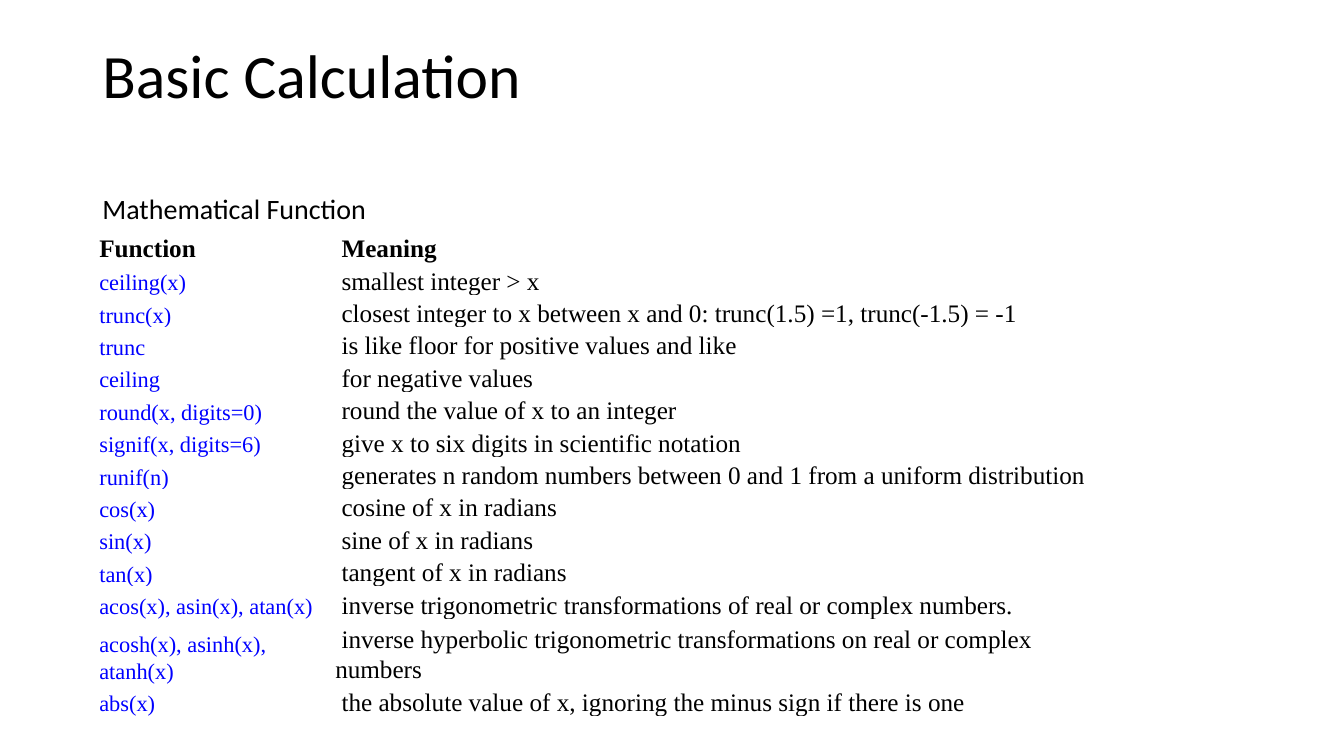
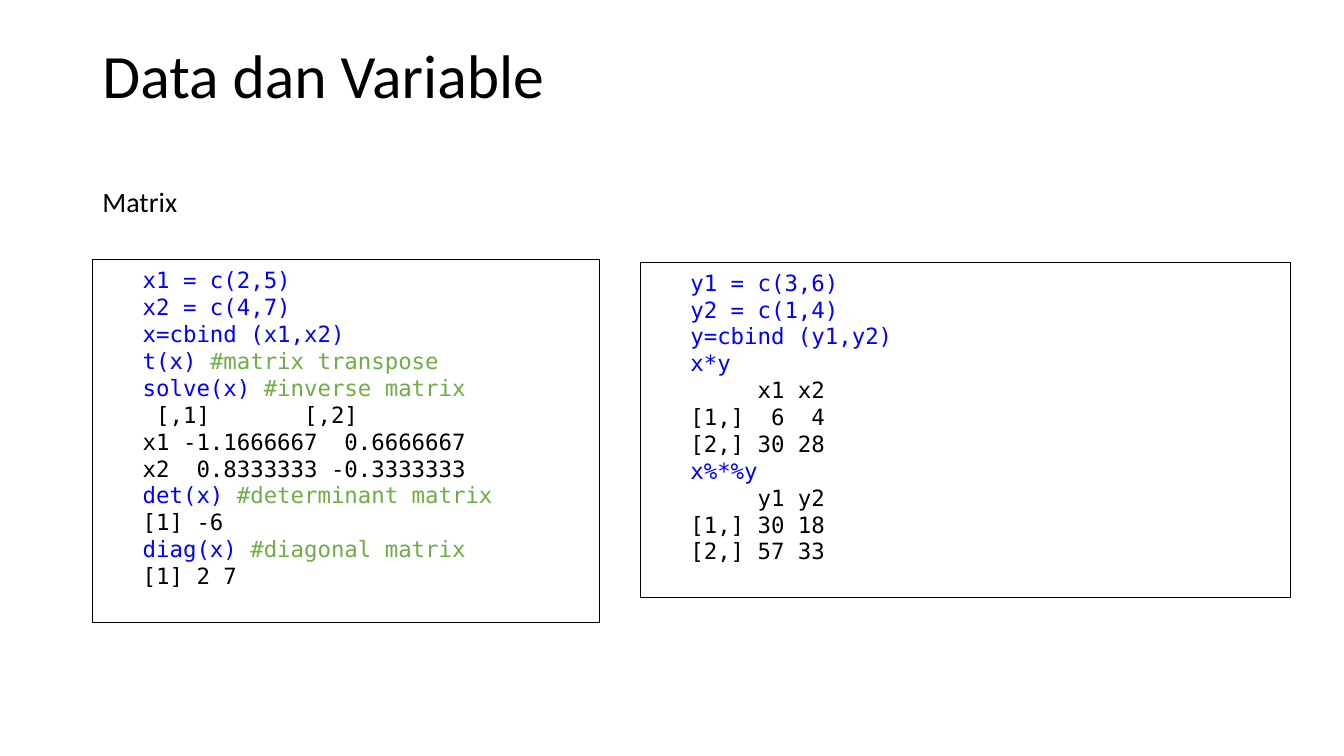
"""Build two slides on mathematical functions and matrices in R."""
from dataclasses import dataclass

from pptx import Presentation
from pptx.dml.color import RGBColor
from pptx.enum.shapes import MSO_SHAPE
from pptx.enum.text import MSO_ANCHOR, PP_ALIGN
from pptx.util import Pt

RECTANGLE = MSO_SHAPE.RECTANGLE
TOP, MIDDLE, BOTTOM = MSO_ANCHOR.TOP, MSO_ANCHOR.MIDDLE, MSO_ANCHOR.BOTTOM
LEFT = PP_ALIGN.LEFT
TITLE_ONLY = 5


@dataclass(frozen=True)
class Theme:
    """Colours, fonts and type sizes of the slides."""
    ink: RGBColor = RGBColor(0, 0, 0)
    paper: RGBColor = RGBColor(255, 255, 255)
    command: RGBColor = RGBColor(0, 0, 255)
    remark: RGBColor = RGBColor(0x70, 0xAD, 0x47)
    heading_font: str = "Calibri"
    table_font: str = "Times New Roman"
    code_font: str = "DejaVu Sans Mono"
    title_size: int = 44
    topic_size: int = 20
    meaning_size: int = 18
    code_size: int = 16


THEME = Theme()

FUNCTIONS = [
    ("Function", "Meaning"),
    ("ceiling(x)", "smallest integer > x"),
    ("trunc(x)", "closest integer to x between x and 0: trunc(1.5) =1, trunc(-1.5) = -1"),
    ("trunc", "is like floor for positive values and like"),
    ("ceiling", "for negative values"),
    ("round(x, digits=0)", "round the value of x to an integer"),
    ("signif(x, digits=6)", "give x to six digits in scientific notation"),
    ("runif(n)", "generates n random numbers between 0 and 1 from a uniform distribution"),
    ("cos(x)", "cosine of x in radians"),
    ("sin(x)", "sine of x in radians"),
    ("tan(x)", "tangent of x in radians"),
    ("acos(x), asin(x), atan(x)", "inverse trigonometric transformations of real or complex numbers."),
    ("acosh(x), asinh(x), atanh(x)",
     "inverse hyperbolic trigonometric transformations on real or complex numbers"),
    ("abs(x)", "the absolute value of x, ignoring the minus sign if there is one"),
]
COMMAND, OUTPUT = THEME.command, THEME.ink
X_SESSION = [
    (COMMAND, "x1 = c(2,5)"),
    (COMMAND, "x2 = c(4,7)"),
    (COMMAND, "x=cbind (x1,x2)"),
    (COMMAND, "t(x) #matrix transpose"),
    (COMMAND, "solve(x) #inverse matrix"),
    (OUTPUT, " [,1]       [,2]"),
    (OUTPUT, "x1 -1.1666667  0.6666667"),
    (OUTPUT, "x2  0.8333333 -0.3333333"),
    (COMMAND, "det(x) #determinant matrix"),
    (OUTPUT, "[1] -6"),
    (COMMAND, "diag(x) #diagonal matrix"),
    (OUTPUT, "[1] 2 7"),
]
Y_SESSION = [
    (COMMAND, "y1 = c(3,6)"),
    (COMMAND, "y2 = c(1,4)"),
    (COMMAND, "y=cbind (y1,y2)"),
    (COMMAND, "x*y"),
    (OUTPUT, "     x1 x2"),
    (OUTPUT, "[1,]  6  4"),
    (OUTPUT, "[2,] 30 28"),
    (COMMAND, "x%*%y"),
    (OUTPUT, "     y1 y2"),
    (OUTPUT, "[1,] 30 18"),
    (OUTPUT, "[2,] 57 33"),
]
SESSIONS = [
    (X_SESSION, (66, 185.5, 362.5, 259.2)),
    (Y_SESSION, (457.2, 187.2, 465, 239.8)),
]

MARGIN = 66
COLUMN_WIDTHS = (168.5, 562.5)
ROW_HEIGHT, WRAPPED_ROW_HEIGHT = 23.1, 44.7
WRAPPED_ROW = 12
MEANING_INDENT = 4.5
CODE_INDENT, CODE_FOOT = 36, 19


def set_font(font, name, size, colour, bold=False):
    font.name, font.size, font.bold = name, Pt(size), bold
    font.color.rgb = colour


def set_insets(area, left, top, right, bottom):
    area.margin_left, area.margin_top = Pt(left), Pt(top)
    area.margin_right, area.margin_bottom = Pt(right), Pt(bottom)


def add_topic_slide(deck, heading, topic, topic_top, topic_width):
    slide = deck.slides.add_slide(deck.slide_layouts[TITLE_ONLY])
    title = slide.shapes.title
    title.left, title.top, title.width, title.height = Pt(MARGIN), Pt(28.8), Pt(828), Pt(104.4)
    title.text_frame.text = heading
    title.text_frame.vertical_anchor = TOP
    line = title.text_frame.paragraphs[0]
    line.alignment, line.line_spacing = LEFT, 0.9
    set_font(line.font, THEME.heading_font, THEME.title_size, THEME.ink)

    label = slide.shapes.add_textbox(Pt(MARGIN), Pt(topic_top), Pt(topic_width), Pt(31.5))
    label.text_frame.text = topic
    label.text_frame.word_wrap = False
    set_font(label.text_frame.paragraphs[0].font, THEME.heading_font, THEME.topic_size, THEME.ink)
    return slide


def add_function_table(slide, top):
    heights = [WRAPPED_ROW_HEIGHT if row == WRAPPED_ROW else ROW_HEIGHT for row in range(len(FUNCTIONS))]
    table = slide.shapes.add_table(len(FUNCTIONS), len(COLUMN_WIDTHS), Pt(MARGIN), Pt(top),
                                   Pt(sum(COLUMN_WIDTHS)), Pt(sum(heights))).table
    table.first_row = table.horz_banding = False
    for column, width in zip(table.columns, COLUMN_WIDTHS):
        column.width = Pt(width)
    for row_number, (entry, height) in enumerate(zip(FUNCTIONS, heights)):
        table.rows[row_number].height = Pt(height)
        for column_number, wording in enumerate(entry):
            cell = table.cell(row_number, column_number)
            cell.fill.background()
            cell.vertical_anchor = BOTTOM
            set_insets(cell, 5, 0, 5, 0)
            cell.text = wording
            line = cell.text_frame.paragraphs[0]
            line.line_spacing = 1.07
            is_header, is_meaning = row_number == 0, column_number == 1
            if is_meaning:
                line._p.get_or_add_pPr().set("indent", str(Pt(MEANING_INDENT)))
            if is_header or is_meaning:
                size, colour = THEME.meaning_size, THEME.ink
            else:
                size, colour = THEME.code_size, THEME.command
            set_font(line.font, THEME.table_font, size, colour, is_header)


def add_session(slide, session, place):
    panel = slide.shapes.add_shape(RECTANGLE, *map(Pt, place))
    panel.shadow.inherit = False
    panel.fill.solid()
    panel.fill.fore_color.rgb = THEME.paper
    panel.line.color.rgb = THEME.ink
    panel.line.width = Pt(0.75)
    frame = panel.text_frame
    frame.word_wrap, frame.vertical_anchor = True, MIDDLE
    set_insets(frame, CODE_INDENT, 0, 0, CODE_FOOT)
    for number, (colour, statement) in enumerate(session):
        line = frame.add_paragraph() if number else frame.paragraphs[0]
        line.alignment = LEFT
        set_font(line.font, THEME.code_font, THEME.code_size, colour)
        code, mark, remark = statement.partition("#")
        for wording, shade in ((code, colour), (mark + remark, THEME.remark)):
            if wording:
                run = line.add_run()
                run.text = wording
                run.font.color.rgb = shade


def main():
    deck = Presentation()
    deck.slide_width, deck.slide_height = Pt(960), Pt(540)

    calculation = add_topic_slide(deck, "Basic Calculation", "Mathematical Function", 133.2, 205.2)
    add_function_table(calculation, 164.9)

    variables = add_topic_slide(deck, "Data dan Variable", "Matrix", 128.2, 68.4)
    for session, place in SESSIONS:
        add_session(variables, session, place)

    deck.save("out.pptx")


main()
